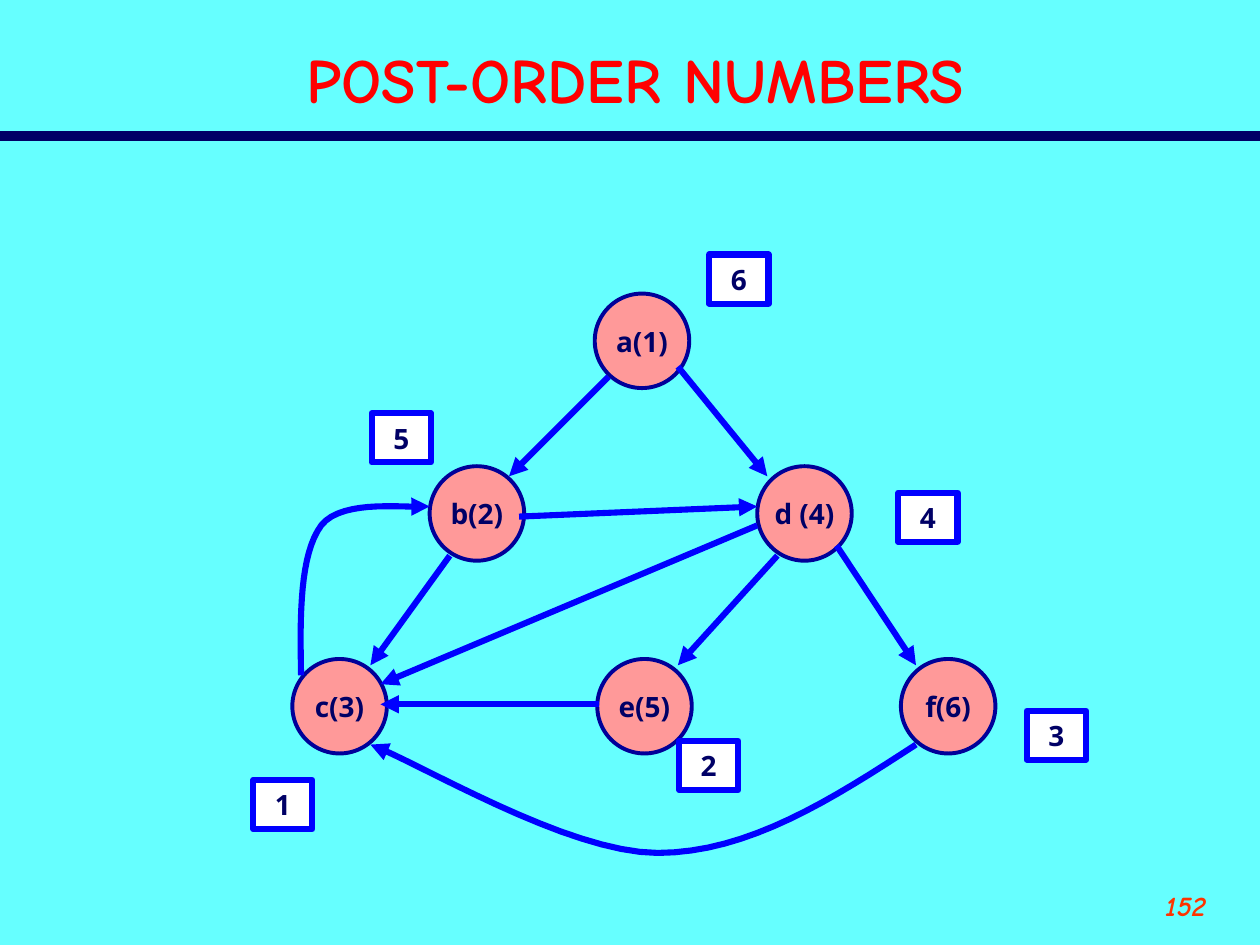
from dataclasses import dataclass

from lxml import etree
from pptx import Presentation
from pptx.dml.color import RGBColor
from pptx.enum.shapes import MSO_CONNECTOR, MSO_SHAPE
from pptx.enum.text import MSO_ANCHOR, MSO_AUTO_SIZE, PP_ALIGN
from pptx.oxml.ns import qn
from pptx.util import Emu, Inches, Pt

STRAIGHT = MSO_CONNECTOR.STRAIGHT
OVAL, RECTANGLE = MSO_SHAPE.OVAL, MSO_SHAPE.RECTANGLE
MIDDLE, TOP = MSO_ANCHOR.MIDDLE, MSO_ANCHOR.TOP
CENTER, RIGHT = PP_ALIGN.CENTER, PP_ALIGN.RIGHT

COLORS = {
    "background": "66FFFF", "rule": "000066", "title": "FF0000",
    "page": "FF3300", "node": "FF9999", "node_line": "000099",
    "edge": "0000FF", "order": "FFFFFF", "label": "000066",
}
HEADING_FONT, LABEL_FONT = "Comic Neue", "Noto Sans"

# The slide is a grid of 100 columns by 75 rows of square cells.
SLIDE_WIDTH, SLIDE_HEIGHT = Inches(10), Inches(7.5)
CELL = SLIDE_WIDTH / 100
NODE_SIZE = (7.5, 7.5)
ORDER_SIZE = (4.7, 3.9)
EDGE_WIDTH = 3.5
CURVE_STEPS = 16
LEVELS = (27.05, 40.75, 56.05)

Point = tuple[float, float]


@dataclass(frozen=True)
class Vertex:
    label: str
    column: float
    level: int


@dataclass(frozen=True)
class PostOrder:
    number: int
    center: Point


@dataclass(frozen=True)
class Edge:
    start: Point
    end: Point


@dataclass(frozen=True)
class CurvedEdge:
    """Cubic Bezier pieces: a start, then two controls and an end per piece."""
    points: tuple[Point, ...]


VERTICES = (
    Vertex("a(1)", 50.95, 0),
    Vertex("b(2)", 37.85, 1),
    Vertex("c(3)", 26.95, 2),
    Vertex("e(5)", 51.15, 2),
    Vertex("f(6)", 75.25, 2),
    Vertex("d (4)", 63.85, 1),
)
EDGES = (
    Edge((48.3, 29.9), (40.4, 37.8)),  # a to b
    Edge((35.7, 44.1), (29.4, 52.8)),  # b to c
    Edge((53.8, 29.1), (60.9, 37.8)),  # a to d
    Edge((66.4, 43.3), (72.7, 52.8)),  # d to f
    Edge((61.7, 44.1), (53.8, 52.8)),  # d to e
    Edge((47.5, 55.9), (30.2, 55.9)),  # e to c
    Edge((60.1, 41.7), (30.2, 54.3)),  # d to c
    Edge((41.2, 41), (60.1, 40.2)),  # b to d
)
CURVED_EDGES = (
    CurvedEdge(((72.7, 59.1), (66.1, 63.4), (59.4, 67.7), (52.2, 67.7),
                (45, 67.7), (33.2, 60.5), (29.4, 59.1))),  # f to c
    CurvedEdge(((23.9, 53.6), (23.8, 48.8), (23.8, 44), (25.5, 41.7),
                (27.2, 39.5), (32.7, 40.4), (34.1, 40.2))),  # c to b
)
POST_ORDERS = (
    PostOrder(1, (22.45, 63.85)),
    PostOrder(2, (56.25, 60.75)),
    PostOrder(3, (83.85, 58.35)),
    PostOrder(4, (73.65, 41.05)),
    PostOrder(5, (31.85, 34.75)),
    PostOrder(6, (58.65, 22.15)),
)


def grid(*lengths: float) -> list[Emu]:
    """Turn grid lengths into slide lengths."""
    return [Emu(round(length * CELL)) for length in lengths]


def rgb(name: str) -> RGBColor:
    return RGBColor.from_string(COLORS[name])


def write(shape, text: str, *, font: str, size: float, color: str,
          align=CENTER, anchor=MIDDLE, italic: bool = False, wrap: bool = True) -> None:
    frame = shape.text_frame
    frame.auto_size = MSO_AUTO_SIZE.NONE
    frame.word_wrap = wrap
    frame.vertical_anchor = anchor
    paragraph = frame.paragraphs[0]
    paragraph.alignment = align
    run = paragraph.add_run()
    run.text = text
    run.font.name = font
    run.font.size = Pt(size)
    run.font.bold = True
    run.font.italic = italic
    run.font.color.rgb = rgb(color)


def set_line(shape, color: str, width: float, arrow: bool = False) -> None:
    shape.line.color.rgb = rgb(color)
    shape.line.width = Pt(width)
    if arrow:
        line = shape.line._get_or_add_ln()
        etree.SubElement(line, qn("a:tailEnd"), type="triangle")


def add_label(slide, preset, center: Point, size: Point, text: str, *,
              fill: str, line: str, width: float) -> None:
    (x, y), (w, h) = center, size
    label = slide.shapes.add_shape(preset, *grid(x - w / 2, y - h / 2, w, h))
    label.shadow.inherit = False
    label.fill.solid()
    label.fill.fore_color.rgb = rgb(fill)
    set_line(label, line, width)
    write(label, text, font=LABEL_FONT, size=16, color="label", wrap=False)


def add_line(slide, edge: Edge, color: str, width: float, arrow: bool = False) -> None:
    line = slide.shapes.add_connector(STRAIGHT, *grid(*edge.start, *edge.end))
    set_line(line, color, width, arrow)
    etree.SubElement(line._element.spPr, qn("a:effectLst"))


def bezier(controls: tuple[Point, ...], t: float) -> Point:
    """Point at share t of one cubic piece."""
    weights = ((1 - t) ** 3, 3 * t * (1 - t) ** 2, 3 * t ** 2 * (1 - t), t ** 3)
    x, y = (sum(w * value for w, value in zip(weights, axis)) for axis in zip(*controls))
    return x, y


def add_curve(slide, edge: CurvedEdge) -> None:
    points = edge.points
    trace = [
        grid(*bezier(points[first:first + 4], step / CURVE_STEPS))
        for first in range(0, len(points) - 1, 3)
        for step in range(1, CURVE_STEPS + 1)
    ]
    builder = slide.shapes.build_freeform(*grid(*points[0]), scale=1.0)
    builder.add_line_segments(trace, close=False)
    curve = builder.convert_to_shape()
    curve.shadow.inherit = False
    curve.fill.background()
    set_line(curve, "edge", EDGE_WIDTH, arrow=True)


def add_heading(slide) -> None:
    title = slide.shapes.title
    title.left, title.top, title.width, title.height = grid(4.2, 2.5, 92.5, 7.5)
    write(title, "POST-ORDER NUMBERS", font=HEADING_FONT, size=36, color="title")
    add_line(slide, Edge((0, 10.8), (100, 10.8)), "rule", 6)
    page = slide.shapes.add_textbox(*grid(86.7, 70, 10, 5))
    write(page, "152", font=HEADING_FONT, size=16, color="page",
          align=RIGHT, anchor=TOP, italic=True)


def main() -> None:
    deck = Presentation()
    deck.slide_width, deck.slide_height = SLIDE_WIDTH, SLIDE_HEIGHT
    slide = deck.slides.add_slide(deck.slide_layouts.get_by_name("Title Only"))
    slide.background.fill.solid()
    slide.background.fill.fore_color.rgb = rgb("background")

    add_heading(slide)
    for vertex in VERTICES:
        add_label(slide, OVAL, (vertex.column, LEVELS[vertex.level]), NODE_SIZE,
                  vertex.label, fill="node", line="node_line", width=2.25)
    for edge in EDGES:
        add_line(slide, edge, "edge", EDGE_WIDTH, arrow=True)
    for curved_edge in CURVED_EDGES:
        add_curve(slide, curved_edge)
    for order in POST_ORDERS:
        add_label(slide, RECTANGLE, order.center, ORDER_SIZE, str(order.number),
                  fill="order", line="edge", width=EDGE_WIDTH)
    deck.save("out.pptx")


if __name__ == "__main__":
    main()
